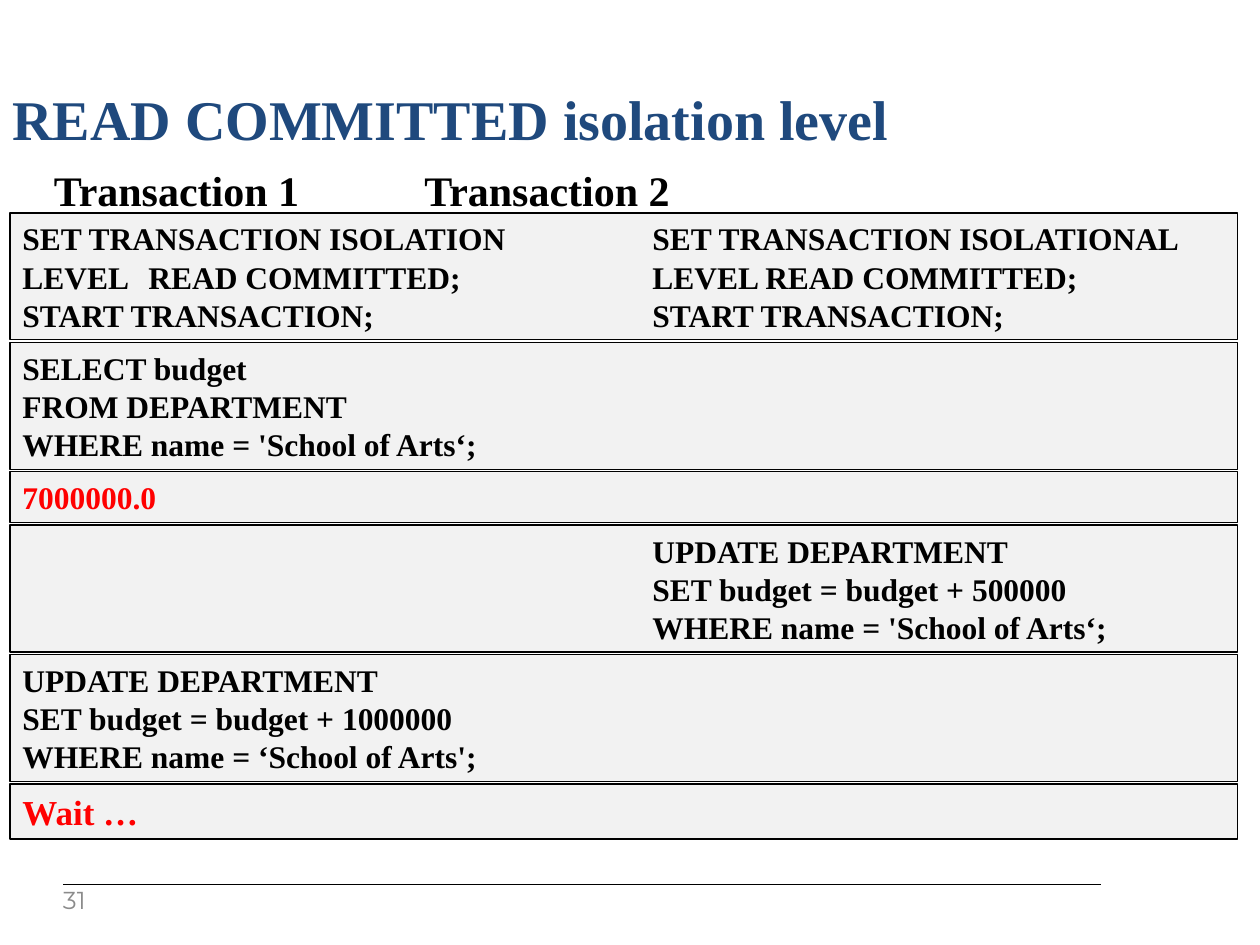
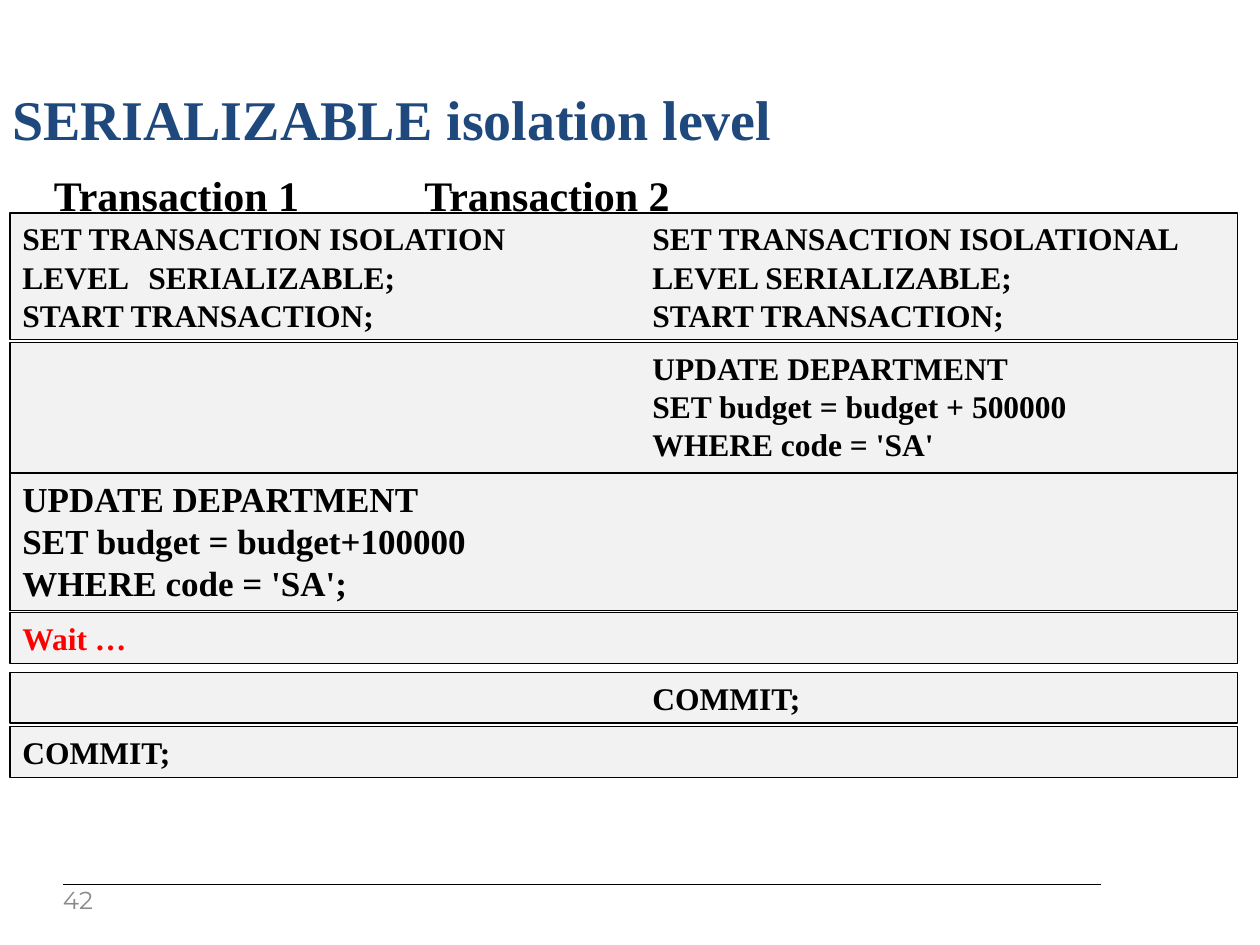
from dataclasses import dataclass

from lxml import etree
from pptx import Presentation
from pptx import util as u
from pptx.dml.color import RGBColor
from pptx.enum import shapes, text
from pptx.oxml import ns

NAVY = RGBColor(0x1F, 0x49, 0x7D)
BLACK = RGBColor(0, 0, 0)
RED = RGBColor(0xFF, 0, 0)
GREY = RGBColor(0x8B, 0x8B, 0x8B)
PANEL = RGBColor(0xF2, 0xF2, 0xF2)

SERIF = "Times New Roman"
SANS = "Montserrat"
LEADING = 1.21
INSET = 0.05
RULE_WIDTH = u.Pt(0.75)
LEVEL_TAB = 1
SECOND_COLUMN = 5

UPDATE_SECOND = ["UPDATE DEPARTMENT", "SET budget = budget + 500000"]


@dataclass
class Step:
    lines: list
    size: int = 18
    color: RGBColor = BLACK
    second: bool = False
    gap: float = 0.02
    extra: float = 0

    @property
    def height(self):
        return 2 * INSET + len(self.lines) * self.size * LEADING / 72 + self.extra


def add_tabs(paragraph, stops):
    tab_list = etree.SubElement(paragraph._p.get_or_add_pPr(), ns.qn("a:tabLst"))
    for stop in stops:
        etree.SubElement(tab_list, ns.qn("a:tab"), pos=str(u.Inches(stop)), algn="l")


def write(frame, lines, size, color, font=SERIF, bold=True, tabs=(), indent=0, leading=LEADING):
    frame.word_wrap = True
    for index, line in enumerate(lines):
        paragraph = frame.paragraphs[0] if index == 0 else frame.add_paragraph()
        paragraph.text = line
        if "\t" in line:
            add_tabs(paragraph, tabs)
        if indent:
            paragraph._p.get_or_add_pPr().set("marL", str(u.Inches(indent)))
        paragraph.alignment = text.PP_ALIGN.LEFT
        if leading:
            paragraph.line_spacing = u.Pt(round(size * leading, 2))
        paragraph.font.name = font
        paragraph.font.size = u.Pt(size)
        paragraph.font.bold = bold
        paragraph.font.color.rgb = color


def add_label(slide, box, line, size, color, **style):
    frame = slide.shapes.add_textbox(*map(u.Inches, box)).text_frame
    write(frame, [line], size, color, **style)
    return frame


def add_footer(slide, left, top, width, number):
    ends = map(u.Inches, (left, top, left + width, top))
    rule = slide.shapes.add_connector(shapes.MSO_CONNECTOR.STRAIGHT, *ends)
    rule.line.color.rgb = BLACK
    rule.line.width = RULE_WIDTH
    etree.SubElement(rule._element.spPr, ns.qn("a:effectLst"))
    frame = add_label(slide, (left, top + 0.04, 0.4, 0.21), str(number), 14, GREY,
                      font=SANS, bold=False, leading=None)
    frame.vertical_anchor = text.MSO_ANCHOR.MIDDLE
    frame.margin_left = frame.margin_top = 0
    frame.margin_right, frame.margin_bottom = u.Inches(0.1), u.Inches(0.05)


def add_step(slide, left, top, width, step):
    box = map(u.Inches, (left, top, width, step.height))
    panel = slide.shapes.add_shape(shapes.MSO_SHAPE.RECTANGLE, *box)
    panel.shadow.inherit = False
    panel.fill.solid()
    panel.fill.fore_color.rgb = PANEL
    panel.line.color.rgb = BLACK
    panel.line.width = RULE_WIDTH
    panel.text_frame.vertical_anchor = text.MSO_ANCHOR.TOP
    write(panel.text_frame, step.lines, step.size, step.color,
          tabs=(LEVEL_TAB, SECOND_COLUMN), indent=SECOND_COLUMN if step.second else 0)


def add_timeline(slide, left, top, width, steps):
    tops = []
    for step in steps:
        tops.append(top)
        top += step.height
        following = len(tops)
        if following < len(steps):
            top += steps[following].gap
    for step, step_top in reversed(list(zip(steps, tops))):
        add_step(slide, left, step_top, width, step)


def add_isolation_slide(deck, level, number, heading_top, steps):
    slide = deck.slides.add_slide(deck.slide_layouts[6])
    add_footer(slide, 0.5, 7.02, 8.24, number)
    add_label(slide, (0, 0.62, 10, 0.67), f"{level} isolation level", 32, NAVY)
    add_label(slide, (0.33, heading_top, 9.33, 0.5), "Transaction 1\tTransaction 2",
              24, BLACK, tabs=(2.94,))
    start = Step([
        "SET TRANSACTION ISOLATION\tSET TRANSACTION ISOLATIONAL",
        f"LEVEL\t{level};\tLEVEL {level};",
        "START TRANSACTION;\tSTART TRANSACTION;",
    ])
    add_timeline(slide, 0.08, 1.69, 9.74, [start, *steps])


def main():
    deck = Presentation()
    deck.slide_width, deck.slide_height = u.Inches(10), u.Inches(7.5)
    add_isolation_slide(deck, "READ COMMITTED", 31, 1.25, [
        Step(["SELECT budget", "FROM DEPARTMENT", "WHERE name = 'School of Arts‘;"]),
        Step(["7000000.0"], color=RED),
        Step([*UPDATE_SECOND, "WHERE name = 'School of Arts‘;"], second=True),
        Step(["UPDATE DEPARTMENT", "SET budget = budget + 1000000",
              "WHERE name = ‘School of Arts';"]),
        Step(["Wait …"], size=20, color=RED),
    ])
    add_isolation_slide(deck, "SERIALIZABLE", 42, 1.29, [
        Step([*UPDATE_SECOND, "WHERE code = 'SA'"], second=True, extra=0.03),
        Step(["UPDATE DEPARTMENT", "SET budget = budget+100000", "WHERE code = 'SA';"],
             size=20, gap=-0.02),
        Step(["Wait …"], color=RED),
        Step(["COMMIT;"], second=True, gap=0.07),
        Step(["COMMIT;"], gap=0.03),
    ])
    deck.save("out.pptx")


if __name__ == "__main__":
    main()
